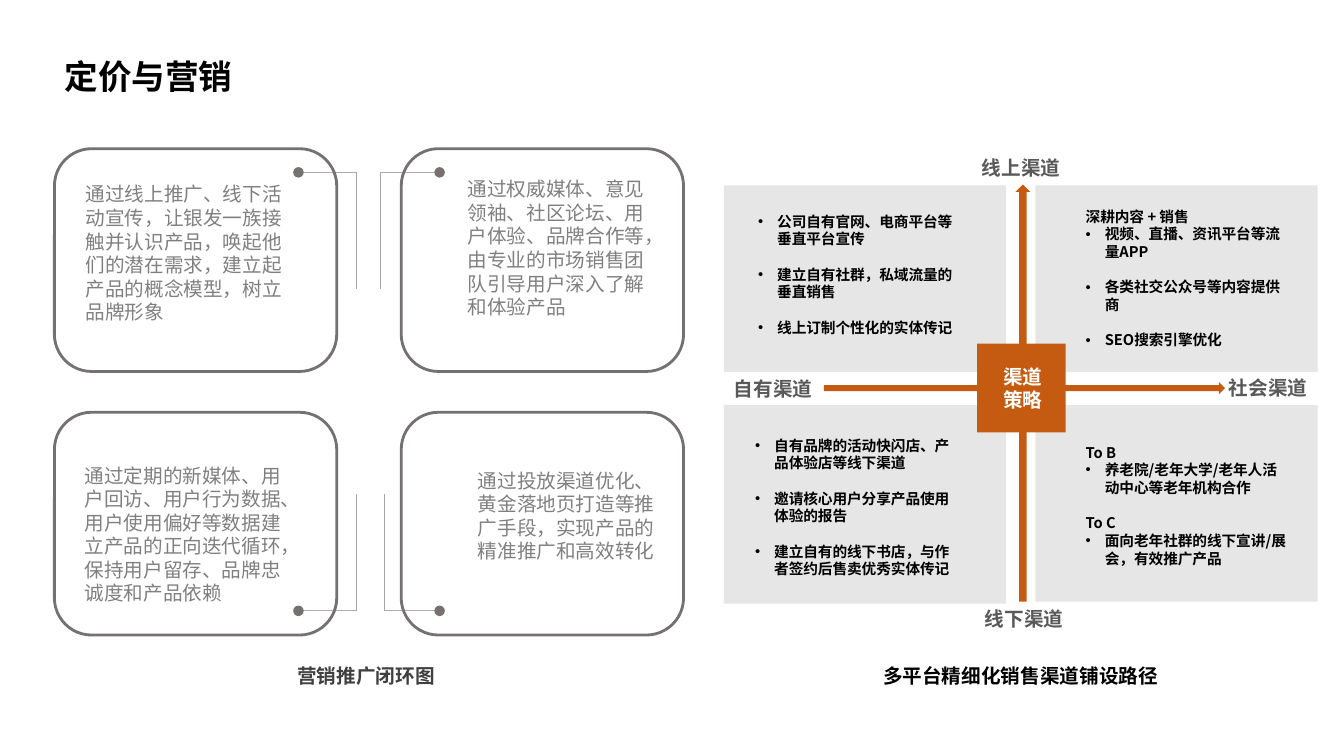
from dataclasses import dataclass

import pptx
import pptx.dml.color
import pptx.enum.shapes
import pptx.enum.text
import pptx.oxml
import pptx.oxml.ns
import pptx.util
from lxml import etree

SHAPE = pptx.enum.shapes.MSO_SHAPE
QN = pptx.oxml.ns.qn


@dataclass(frozen=True)
class Theme:
    """Colours, font and type sizes of the slide."""
    font: str = "Noto Sans CJK SC"
    black: str = "000000"
    white: str = "FFFFFF"
    caption: str = "404040"
    axis: str = "595959"
    body: str = "808080"
    frame: str = "767171"
    panel: str = "E7E6E6"
    accent: str = "C55A11"
    branch: str = "AFABAB"
    stem: str = "A5A5A5"
    title_size: float = 24
    text_size: float = 14
    list_size: float = 10.5
    leading: float = 1.2


class SlideBuilder:
    """Draws on one slide, with lengths in columns and rows of a tenth of an inch."""

    def __init__(self, presentation, theme):
        """Add a title-only slide to the presentation."""
        self.theme = theme
        self.slide = presentation.slides.add_slide(presentation.slide_layouts[5])

    @staticmethod
    def grid(*cells):
        """Turn grid cells into slide lengths."""
        return [pptx.util.Inches(cell / 10) for cell in cells]

    @staticmethod
    def color(value):
        """Turn a hex value into a colour."""
        return pptx.dml.color.RGBColor.from_string(value)

    def style(self, paragraph, size, color, bold):
        """Set the font and line pitch of a paragraph."""
        paragraph.alignment = pptx.enum.text.PP_ALIGN.LEFT
        paragraph.line_spacing = pptx.util.Pt(size * self.theme.leading)
        font = paragraph.font
        font.name, font.size, font.bold = self.theme.font, pptx.util.Pt(size), bold
        font.color.rgb = self.color(color)
        defaults = paragraph._p.pPr.find(QN("a:defRPr"))
        latin = defaults.find(QN("a:latin"))
        east_asian = etree.Element(QN("a:ea"), typeface=self.theme.font)
        latin.addnext(east_asian)

    def bullet(self, paragraph):
        """Give a paragraph a hanging bullet."""
        properties = paragraph._p.get_or_add_pPr()
        indent = pptx.util.Inches(0.19)
        properties.set("marL", str(indent))
        properties.set("indent", str(-indent))
        etree.SubElement(properties, QN("a:buFont"), typeface="Arial")
        etree.SubElement(properties, QN("a:buChar"), char="•")

    def title(self, text, box):
        """Place and format the title."""
        title = self.slide.shapes.title
        title.left, title.top, title.width, title.height = self.grid(*box)
        title.text_frame.text = text
        title.text_frame.word_wrap = False
        title.text_frame.vertical_anchor = pptx.enum.text.MSO_ANCHOR.TOP
        self.style(title.text_frame.paragraphs[0], self.theme.title_size, self.theme.black, True)

    def frame(self, box, wrap):
        """Add an empty text box and return its text frame."""
        text_frame = self.slide.shapes.add_textbox(*self.grid(*box)).text_frame
        text_frame.word_wrap = wrap
        text_frame.auto_size = pptx.enum.text.MSO_AUTO_SIZE.SHAPE_TO_FIT_TEXT
        return text_frame

    def text(self, text, box, color, bold=True, wrap=True):
        """Add text with one paragraph a line."""
        text_frame = self.frame(box, wrap)
        text_frame.text = text
        for paragraph in text_frame.paragraphs:
            self.style(paragraph, self.theme.text_size, color, bold)

    def groups(self, groups, box):
        """Add spaced groups, each an optional heading and one bullet."""
        text_frame = self.frame(box, True)
        paragraph = text_frame.paragraphs[0]
        size = self.theme.list_size
        for number, (heading, item) in enumerate(groups):
            if number:
                paragraph = text_frame.add_paragraph()
                paragraph.space_before = pptx.util.Pt(size * self.theme.leading)
            if heading:
                paragraph.text = heading
                self.style(paragraph, size, self.theme.black, True)
                paragraph = text_frame.add_paragraph()
            paragraph.text = item
            self.bullet(paragraph)
            self.style(paragraph, size, self.theme.black, True)

    def shape(self, kind, box, fill=None, line=None, weight=1):
        """Add a preset shape with a plain fill or outline."""
        shape = self.slide.shapes.add_shape(kind, *self.grid(*box))
        shape.shadow.inherit = False
        if fill:
            shape.fill.solid()
            shape.fill.fore_color.rgb = self.color(fill)
        else:
            shape.fill.background()
        if line:
            shape.line.color.rgb = self.color(line)
            shape.line.width = pptx.util.Pt(weight)
        else:
            shape.line.fill.background()

    def line(self, start, end, color):
        """Add a thin straight connector."""
        connector = self.slide.shapes.add_connector(
            pptx.enum.shapes.MSO_CONNECTOR.STRAIGHT, *self.grid(*start, *end))
        connector.line.color.rgb = self.color(color)
        connector.line.width = pptx.util.Pt(0.5)
        etree.SubElement(connector._element.spPr, QN("a:effectLst"))


def draw_loop(builder):
    """Draw the four-stage marketing loop."""
    theme = builder.theme
    stages = [
        (5.4, 14.75, 29.6, 17.1, 35.3, 28.7,
         "通过线上推广、线下活动宣传，让银发一族接触并认识产品，唤起他们的潜在需求，建立起产品的概念模型，树立品牌形象",
         (7.5, 17.6, 21.7, 15.1)),
        (39.8, 14.75, 43.6, 17.1, 37.7, 28.7,
         "通过权威媒体、意见领袖、社区论坛、用户体验、品牌合作等，由专业的市场销售团队引导用户深入了解和体验产品",
         (45.4, 17.1, 20.5, 15.1)),
        (5.4, 40.9, 29.6, 60.6, 35.3, 49,
         "通过定期的新媒体、用户回访、用户行为数据、用户使用偏好等数据建立产品的正向迭代循环，保持用户留存、品牌忠诚度和产品依赖",
         (7.4, 45.5, 21.7, 15.1)),
        (39.8, 40.9, 43.6, 60.6, 38.1, 49,
         "通过投放渠道优化、黄金落地页打造等推广手段，实现产品的精准推广和高效转化",
         (46.4, 46, 19.8, 10.4)),
    ]
    for left, top, dot_x, dot_y, stem_x, stem_y, body, box in stages:
        builder.line((dot_x, dot_y), (stem_x, dot_y), theme.branch)
        builder.line((stem_x, dot_y), (stem_x, stem_y), theme.stem)
        builder.shape(SHAPE.ROUNDED_RECTANGLE, (left, top, 28, 22.1), line=theme.frame, weight=2)
        builder.shape(SHAPE.OVAL, (dot_x - 0.45, dot_y - 0.45, 0.9, 0.9), theme.frame, theme.frame)
        builder.text(body, box, theme.body, bold=False)
    builder.text("营销推广闭环图", (28.5, 65.4, 16.5, 3.4), theme.caption)


def draw_channels(builder):
    """Draw the channel matrix with its two axes."""
    theme = builder.theme
    quadrants = [
        ((71.8, 18.4, 28, 18.5), (74.2, 20.6, 22, 15.1), [
            ("", "公司自有官网、电商平台等垂直平台宣传"),
            ("", "建立自有社群，私域流量的垂直销售"),
            ("", "线上订制个性化的实体传记")]),
        ((102.7, 18.4, 28, 18.5), (106.7, 20.1, 22, 16.9), [
            ("深耕内容 + 销售", "视频、直播、资讯平台等流量APP"),
            ("", "各类社交公众号等内容提供商"),
            ("", "SEO搜索引擎优化")]),
        ((71.8, 40.2, 28, 19.7), (73.9, 42.8, 22, 15.1), [
            ("", "自有品牌的活动快闪店、产品体验店等线下渠道"),
            ("", "邀请核心用户分享产品使用体验的报告"),
            ("", "建立自有的线下书店，与作者签约后售卖优秀实体传记")]),
        ((102.7, 40.2, 28, 19.5), (106.7, 43.5, 22, 15.1), [
            ("To B", "养老院/老年大学/老年人活动中心等老年机构合作"),
            ("To C", "面向老年社群的线下宣讲/展会，有效推广产品")]),
    ]
    for panel, box, groups in quadrants:
        builder.shape(SHAPE.RECTANGLE, panel, theme.panel)
        builder.groups(groups, box)
    builder.shape(SHAPE.UP_ARROW, (100.7, 18.3, 1.5, 41.4), theme.accent)
    builder.shape(SHAPE.RIGHT_ARROW, (81.7, 37.9, 39.8, 1.2), theme.accent)
    builder.shape(SHAPE.RECTANGLE, (96.9, 34.1, 8.8, 8.8), theme.accent)
    builder.text("渠道\n策略", (98.5, 35.7, 5.9, 5.7), theme.white, wrap=False)
    axis_ends = [("自有渠道", 71.8, 36.9), ("社会渠道", 120.9, 36.8),
                 ("线上渠道", 96.4, 15), ("线下渠道", 96.7, 59.7)]
    for name, left, top in axis_ends:
        builder.text(name, (left, top, 9.9, 3.4), theme.axis, wrap=False)
    builder.text("多平台精细化销售渠道铺设路径", (86.6, 65.4, 29.5, 3.4), theme.black, wrap=False)


def main():
    """Build and save the slide."""
    presentation = pptx.Presentation()
    presentation.slide_width = pptx.util.Inches(13.33)
    presentation.slide_height = pptx.util.Inches(7.5)
    builder = SlideBuilder(presentation, Theme())
    builder.title("定价与营销", (5.4, 5, 18.8, 5))
    draw_loop(builder)
    draw_channels(builder)
    presentation.save("out.pptx")


if __name__ == "__main__":
    main()
